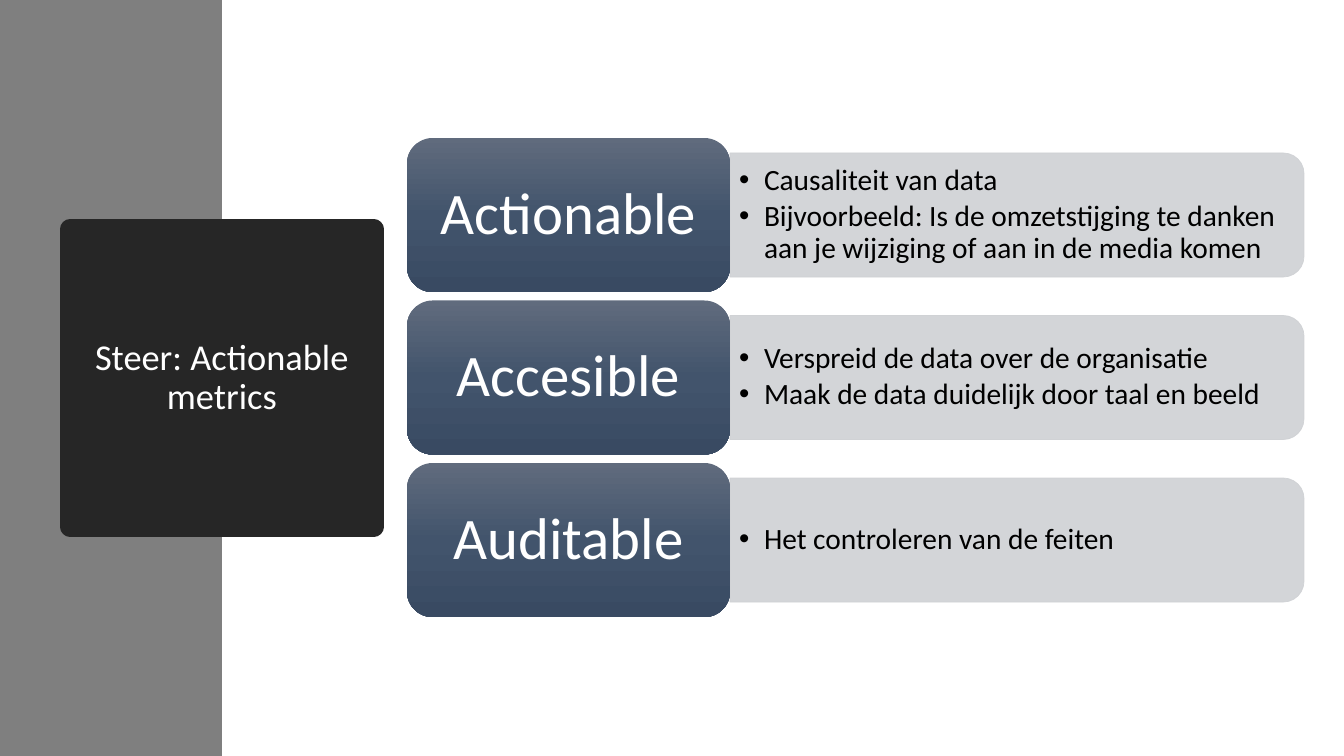
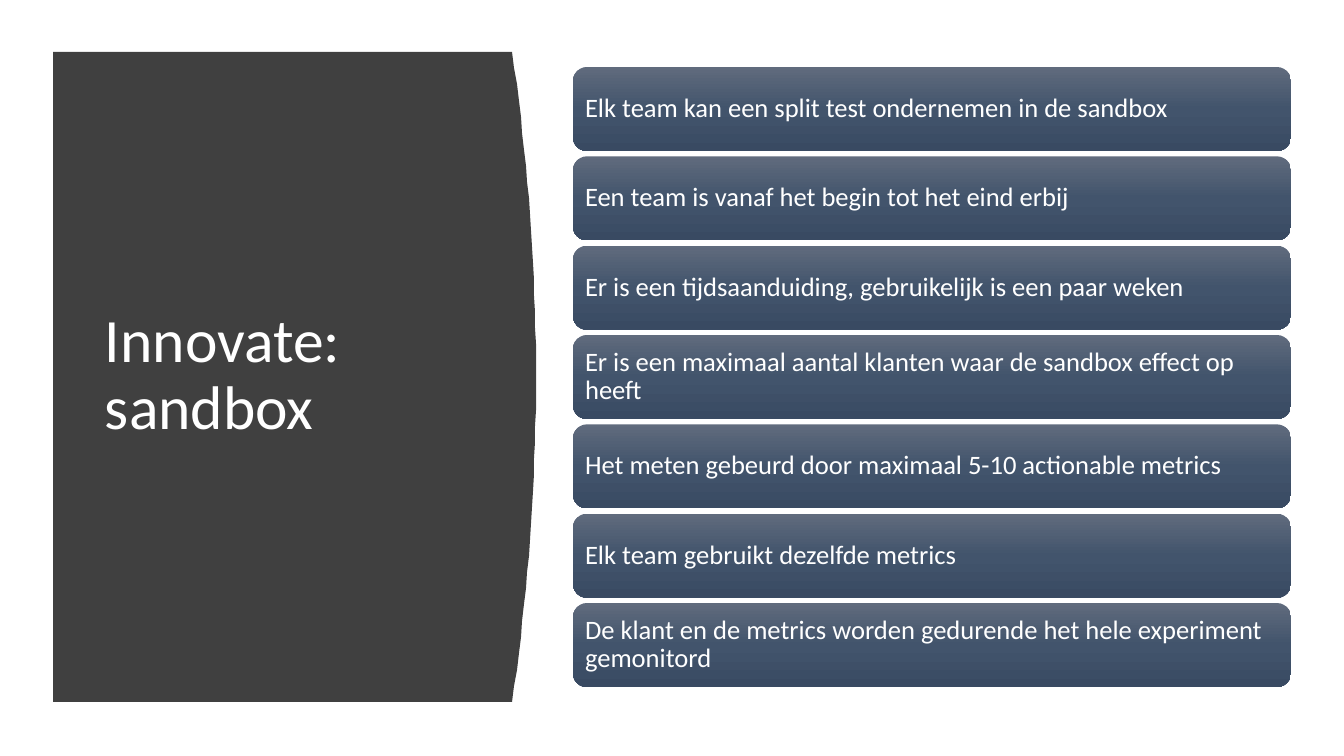
from copy import deepcopy
from dataclasses import dataclass

from pptx import Presentation
from pptx.dml.color import RGBColor
from pptx.enum.shapes import MSO_SHAPE
from pptx.enum.text import MSO_ANCHOR, PP_ALIGN
from pptx.oxml.ns import qn
from pptx.util import Emu, Pt
from lxml import etree

RECTANGLE = MSO_SHAPE.RECTANGLE
ROUNDED = MSO_SHAPE.ROUNDED_RECTANGLE
ROUND_TOP = MSO_SHAPE.ROUND_2_SAME_RECTANGLE
MIDDLE = MSO_ANCHOR.MIDDLE
LEFT, CENTER = PP_ALIGN.LEFT, PP_ALIGN.CENTER

SCALE = 914400 / 100.8  # EMU in one pixel
PAGE_WIDTH, PAGE_HEIGHT = 1344, 756


@dataclass(frozen=True)
class Theme:
    font: str = "Calibri"
    white: str = "FFFFFF"
    black: str = "000000"
    band: str = "7F7F7F"
    title_box: str = "262626"
    title_panel: str = "404040"
    detail_panel: str = "CFD1D4"
    card: tuple = ((0, "606B7D"), (0.5, "42546C"), (1, "394A62"))
    panel_opacity: int = 90
    boxed_title_size: int = 26
    large_title_size: int = 44
    heading_size: int = 42
    detail_size: int = 21
    statement_size: int = 19
    line_spacing: float = 0.9


THEME = Theme()

AAA_METRICS = [
    ("Actionable", ["Causaliteit van data",
                    "Bijvoorbeeld: Is de omzetstijging te danken aan je "
                    "wijziging of aan in de media komen"]),
    ("Accesible", ["Verspreid de data over de organisatie",
                   "Maak de data duidelijk door taal en beeld"]),
    ("Auditable", ["Het controleren van de feiten"]),
]
SANDBOX_RULES = [
    "Elk team kan een split test ondernemen in de sandbox",
    "Een team is vanaf het begin tot het eind erbij",
    "Er is een tijdsaanduiding, gebruikelijk is een paar weken",
    "Er is een maximaal aantal klanten waar de sandbox effect op heeft",
    "Het meten gebeurd door maximaal 5-10 actionable metrics",
    "Elk team gebruikt dezelfde metrics",
    "De klant en de metrics worden gedurende het hele experiment gemonitord",
]


def px(length):
    return Emu(round(length * SCALE))


def color(code):
    return RGBColor.from_string(code)


def spread(first, last, count):
    """Tops of evenly spaced rows from first to last."""
    return [first + (last - first) * row / (count - 1) for row in range(count)]


# Shapes
def add_block(page, kind, left, top, width, height, fill=None):
    box = page.shapes.add_shape(kind, px(left), px(top), px(width), px(height))
    box.shadow.inherit = False
    box.line.fill.background()
    if fill:
        box.fill.solid()
        box.fill.fore_color.rgb = color(fill)
    return box


def set_outline(box, code, points):
    box.line.color.rgb = color(code)
    box.line.width = Pt(points)


def set_opacity(box, percent):
    for code in box._element.spPr.iter(qn("a:srgbClr")):
        etree.SubElement(code, qn("a:alpha"), val=str(percent * 1000))


def set_gradient(box, stops):
    box.fill.gradient()
    box.fill.gradient_angle = 270
    stop_list = box._element.spPr.find(".//" + qn("a:gsLst"))
    while len(stop_list) < len(stops):
        stop_list.append(deepcopy(stop_list[0]))
    for stop, (position, code) in zip(box.fill.gradient_stops, stops):
        stop.position = position
        stop.color.rgb = color(code)


# Text
def add_bullet(para, indent):
    properties = para._p.get_or_add_pPr()
    properties.set("marL", str(px(indent)))
    properties.set("indent", str(-px(indent)))
    etree.SubElement(properties, qn("a:buFont"), typeface="Arial")
    etree.SubElement(properties, qn("a:buChar"), char="•")


def write(box, lines, size, code, align=LEFT, insets=(10, 5), bulleted=False):
    frame = box.text_frame
    frame.word_wrap = True
    frame.vertical_anchor = MIDDLE
    frame.margin_left = frame.margin_right = px(insets[0])
    frame.margin_top = frame.margin_bottom = px(insets[1])
    for number, line in enumerate(lines):
        para = frame.add_paragraph() if number else frame.paragraphs[0]
        para.text = line
        para.alignment = align
        para.line_spacing = THEME.line_spacing
        para.font.name = THEME.font
        para.font.size = Pt(size)
        para.font.color.rgb = color(code)
        if bulleted:
            para.space_after = Pt(3)
            add_bullet(para, 25)


def add_text(page, left, top, width, height, lines, size, code, **style):
    box = page.shapes.add_textbox(px(left), px(top), px(width), px(height))
    write(box, lines, size, code, **style)


# Parts of the slides
def add_card(page, left, top, width, height, text, size, **style):
    card = add_block(page, ROUNDED, left, top, width, height)
    set_gradient(card, THEME.card)
    write(card, [text], size, THEME.white, **style)


def add_detail_panel(page, left, middle, width, height, lines):
    # A quarter turn puts the two rounded corners on the right
    panel = add_block(page, ROUND_TOP, left + (width - height) / 2,
                      middle - width / 2, height, width, THEME.detail_panel)
    panel.rotation = 90
    set_outline(panel, THEME.detail_panel, 0.5)
    set_opacity(panel, THEME.panel_opacity)
    add_text(page, left, middle - 56, width - 6, 112, lines,
             THEME.detail_size, THEME.black, insets=(9, 4), bulleted=True)


def add_curved_panel(page, left, top, edge, bottom, bulge, steps=40):
    middle, half = (top + bottom) / 2, (bottom - top) / 2
    points = []
    for y in spread(top, bottom, steps + 1):
        points.append((edge + bulge * (1 - ((y - middle) / half) ** 2), y))
    builder = page.shapes.build_freeform(left, top, scale=SCALE)
    builder.add_line_segments(points + [(left, bottom)], close=True)
    panel = builder.convert_to_shape()
    panel.shadow.inherit = False
    panel.fill.solid()
    panel.fill.fore_color.rgb = color(THEME.title_panel)
    panel.line.fill.background()


# Slides
def build_metrics(page):
    add_block(page, RECTANGLE, 0, 0, 222, PAGE_HEIGHT, THEME.band)
    title = add_block(page, RECTANGLE, 70, 229, 304, 298, THEME.title_box)
    set_outline(title, THEME.title_box, 13.75)
    write(title, ["Steer: Actionable metrics"], THEME.boxed_title_size,
          THEME.white, align=CENTER)

    left, width, height = 407, 323, 154
    tops = spread(138, 463, len(AAA_METRICS))
    for top, (heading, details) in zip(tops, AAA_METRICS):
        add_detail_panel(page, left + width, top + height / 2, 574, 124, details)
        add_card(page, left, top, width, height, heading,
                 THEME.heading_size, align=CENTER, insets=(17, 9))


def build_sandbox(page):
    add_curved_panel(page, left=53, top=52, edge=512, bottom=702, bulge=24)
    add_text(page, 95, 112, 377, 528, ["Innovate: sandbox"],
             THEME.large_title_size, THEME.white)
    for top, rule in zip(spread(67, 603, len(SANDBOX_RULES)), SANDBOX_RULES):
        add_card(page, 573, top, 718, 84, rule, THEME.statement_size,
                 insets=(8, 8))


def main():
    deck = Presentation()
    deck.slide_width, deck.slide_height = px(PAGE_WIDTH), px(PAGE_HEIGHT)
    blank = deck.slide_layouts[6]
    for build in (build_metrics, build_sandbox):
        build(deck.slides.add_slide(blank))
    deck.save("out.pptx")


main()
